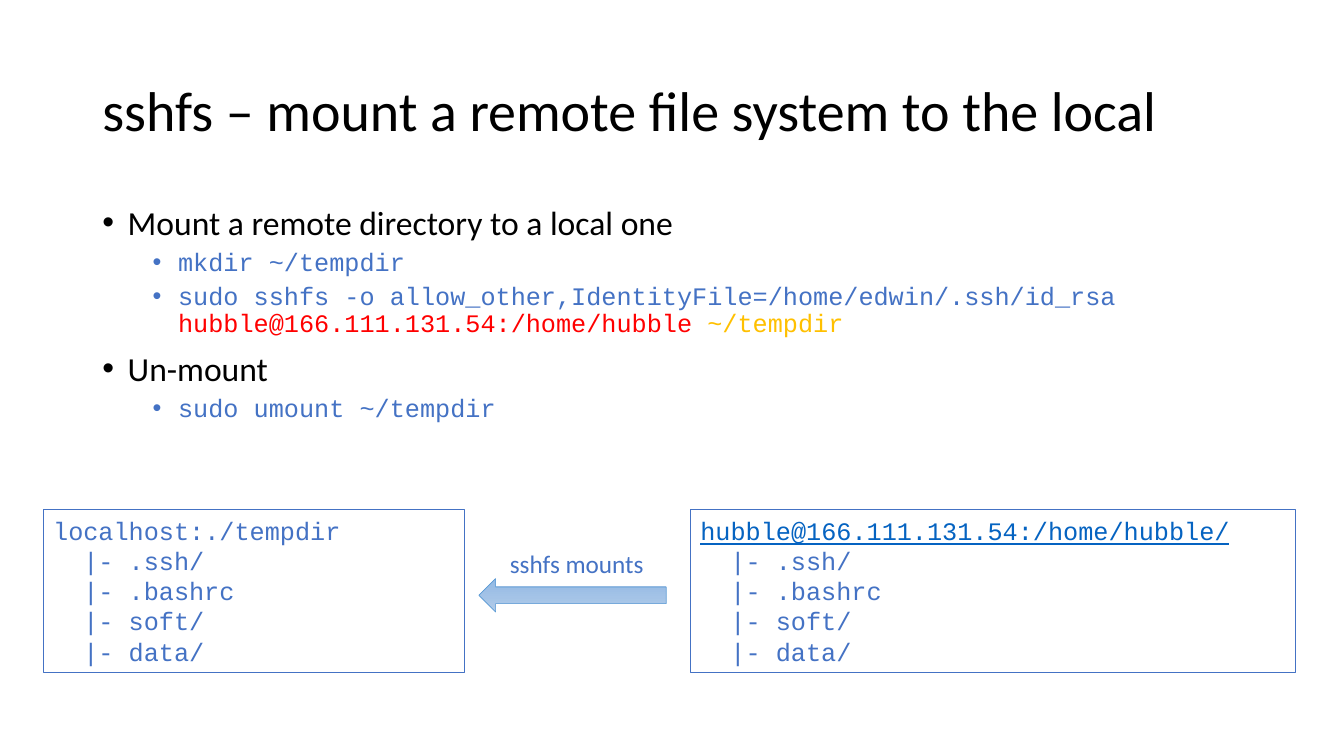
import dataclasses

import lxml.etree
import pptx
import pptx.dml.color
import pptx.enum.shapes
import pptx.enum.text
import pptx.oxml.ns
import pptx.util

Cm = pptx.util.Cm
Pt = pptx.util.Pt
Anchor = pptx.enum.text.MSO_ANCHOR
Preset = pptx.enum.shapes.MSO_SHAPE


def rgb(value):
    return pptx.dml.color.RGBColor.from_string(value)


@dataclasses.dataclass(frozen=True)
class Theme:
    text_font: str = "Calibri"
    code_font: str = "Courier New"
    title_size: int = 40
    heading_size: int = 24
    code_size: int = 18
    black: str = "000000"
    blue: str = "4472C4"
    red: str = "FF0000"
    amber: str = "FFC000"
    link: str = "0563C1"
    arrow_line: str = "5B9BD5"
    arrow_start: str = "B1CBE9"
    arrow_end: str = "93B9E4"


class SlideBuilder:
    def __init__(self, slide, theme):
        self.slide = slide
        self.theme = theme

    def set_font(self, font, name, size, color):
        font.name = name
        font.size = Pt(size)
        font.color.rgb = rgb(color)

    def indent(self, paragraph, left, hanging=0, bullet=None):
        properties = paragraph._p.get_or_add_pPr()
        properties.set("marL", str(Cm(left)))
        properties.set("indent", str(-Cm(hanging)))
        if bullet:
            for tag, name, value in (("a:buFont", "typeface", "Arial"),
                                     ("a:buChar", "char", bullet)):
                element = lxml.etree.SubElement(properties, pptx.oxml.ns.qn(tag))
                element.set(name, value)

    def paragraphs(self, frame, count):
        """Return count paragraphs, the first being the one the frame already has."""
        return [frame.paragraphs[0]] + [frame.add_paragraph() for _ in range(count - 1)]

    def text_frame(self, left, top, width, height, anchor=Anchor.TOP):
        box = self.slide.shapes.add_textbox(Cm(left), Cm(top), Cm(width), Cm(height))
        box.text_frame.word_wrap = True
        box.text_frame.vertical_anchor = anchor
        return box.text_frame

    def shape(self, preset, left, top, width, height, line_color, line_width):
        shape = self.slide.shapes.add_shape(preset, Cm(left), Cm(top), Cm(width), Cm(height))
        shape.shadow.inherit = False
        shape.line.color.rgb = rgb(line_color)
        shape.line.width = Pt(line_width)
        return shape

    def title(self, text, *bounds):
        paragraph = self.text_frame(*bounds, anchor=Anchor.MIDDLE).paragraphs[0]
        paragraph.text = text
        paragraph.line_spacing = 0.9
        self.set_font(paragraph.font, self.theme.text_font, self.theme.title_size,
                      self.theme.black)

    def label(self, text, *bounds):
        paragraph = self.text_frame(*bounds).paragraphs[0]
        paragraph.text = text
        self.set_font(paragraph.font, self.theme.text_font, self.theme.code_size,
                      self.theme.blue)

    def outline(self, items, *bounds):
        """Draw bullets from (level, [(text, color), ...]); level 1 is code."""
        theme = self.theme
        styles = ((theme.text_font, theme.heading_size, 10, 0.64),
                  (theme.code_font, theme.code_size, 5, 1.91))
        frame = self.text_frame(*bounds)
        for paragraph, (level, parts) in zip(self.paragraphs(frame, len(items)), items):
            font_name, size, space, left = styles[level]
            paragraph.level = level
            paragraph.line_spacing = 0.9
            paragraph.space_before = Pt(space)
            self.indent(paragraph, left, hanging=0.64, bullet="•")
            for text, color in parts:
                run = paragraph.add_run()
                run.text = text
                self.set_font(run.font, font_name, size, color)

    def directory(self, root, entries, *bounds, linked=False):
        theme = self.theme
        box = self.shape(Preset.RECTANGLE, *bounds, theme.blue, 0.75)
        box.fill.background()
        frame = box.text_frame
        frame.word_wrap = True
        frame.vertical_anchor = Anchor.MIDDLE
        lines = [root] + [f"|- {entry}" for entry in entries]
        for number, paragraph in enumerate(self.paragraphs(frame, len(lines))):
            is_link = linked and number == 0
            paragraph.text = lines[number]
            paragraph.alignment = pptx.enum.text.PP_ALIGN.LEFT
            self.indent(paragraph, 0.76 if number else 0)
            # Runs carry the style because the underline differs between lines.
            font = paragraph.runs[0].font
            self.set_font(font, theme.code_font, theme.code_size,
                          theme.link if is_link else theme.blue)
            font.underline = is_link

    def mount_arrow(self, *bounds):
        arrow = self.shape(Preset.RIGHT_ARROW, *bounds, self.theme.arrow_line, 0.5)
        arrow.rotation = 180
        arrow.fill.gradient()
        arrow.fill.gradient_angle = 270
        colors = (self.theme.arrow_start, self.theme.arrow_end)
        for stop, color in zip(arrow.fill.gradient_stops, colors):
            stop.color.rgb = rgb(color)


def main():
    presentation = pptx.Presentation()
    presentation.slide_width = Cm(33.87)
    presentation.slide_height = Cm(19.05)
    slide = presentation.slides.add_slide(presentation.slide_layouts[6])
    theme = Theme()
    builder = SlideBuilder(slide, theme)

    builder.title("sshfs – mount a remote file system to the local", 2.33, 1.01, 29.21, 3.68)
    builder.outline([
        (0, [("Mount a remote directory to a local one", theme.black)]),
        (1, [("mkdir ~/tempdir", theme.blue)]),
        (1, [("sudo sshfs -o allow_other,IdentityFile=/home/edwin/.ssh/id_rsa ", theme.blue),
             ("hubble@166.111.131.54:/home/hubble ", theme.red),
             ("~/tempdir", theme.amber)]),
        (0, [("Un-mount", theme.black)]),
        (1, [("sudo umount ~/tempdir", theme.blue)]),
    ], 2.33, 5.07, 29.21, 12.09)

    entries = (".ssh/", ".bashrc", "soft/", "data/")
    box_top, box_height = 12.83, 4.11
    builder.directory("hubble@166.111.131.54:/home/hubble/", entries,
                      17.4, box_top, 15.24, box_height, linked=True)
    builder.mount_arrow(12.07, 14.58, 4.72, 0.84)
    builder.directory("localhost:./tempdir", entries, 1.09, box_top, 10.62, box_height)
    builder.label("sshfs mounts", 12.6, 13.69, 4.45, 1.02)

    presentation.save("out.pptx")


if __name__ == "__main__":
    main()
